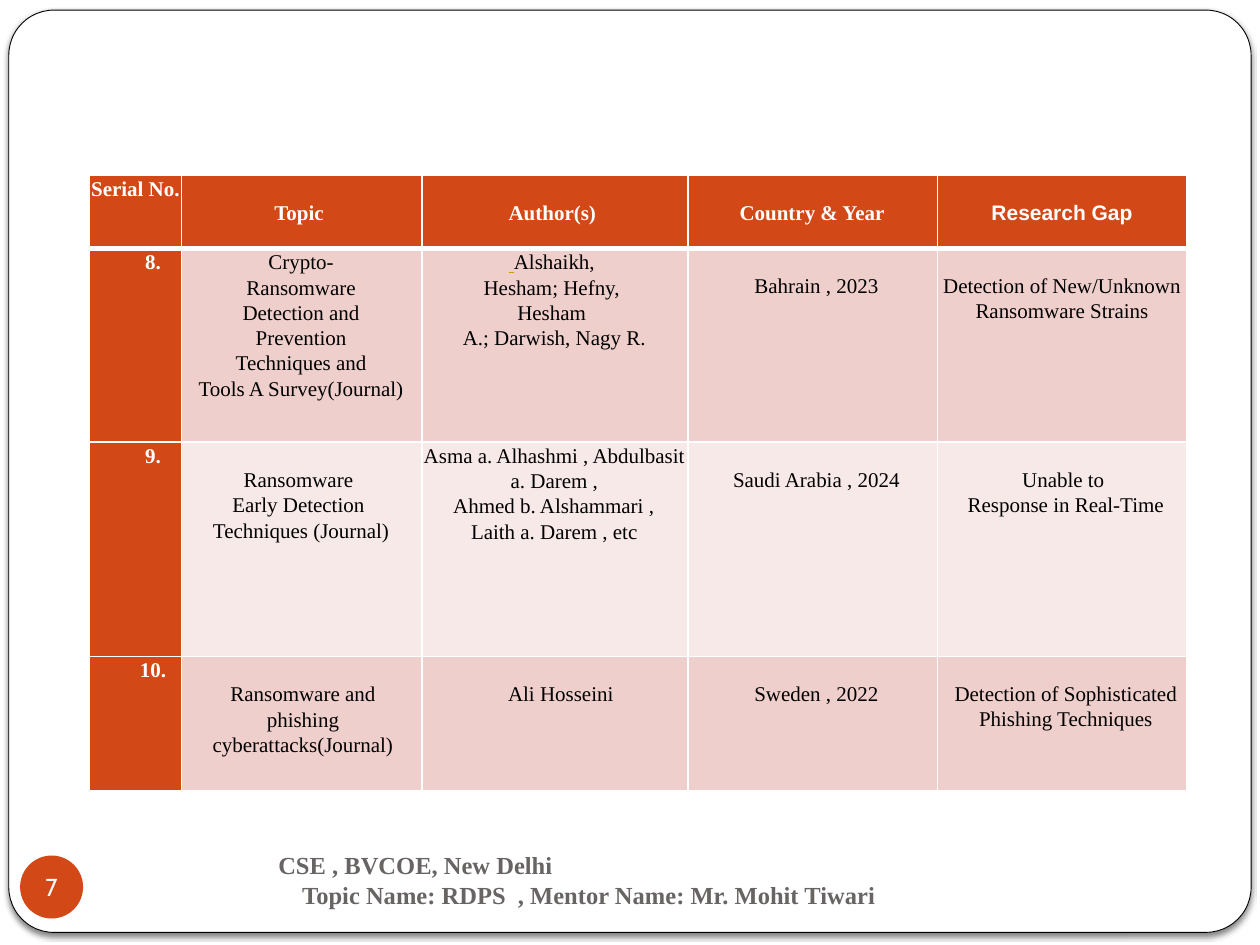
from lxml.etree import SubElement as Sub
from pptx import Presentation
from pptx.dml.color import RGBColor as Rgb
from pptx.enum.shapes import MSO_SHAPE as Shape
from pptx.enum.text import MSO_ANCHOR as Anchor, PP_ALIGN as Align
from pptx.oxml.ns import qn
from pptx.util import Inches, Pt

WHITE = Rgb(0xFF, 0xFF, 0xFF)
BLACK = Rgb(0x00, 0x00, 0x00)
RUST = Rgb(0xD3, 0x48, 0x17)
ROSE = Rgb(0xEF, 0xCF, 0xCC)
PALE = Rgb(0xF7, 0xE9, 0xE8)
GOLD = Rgb(0xCC, 0x99, 0x00)
GREY = Rgb(0x69, 0x64, 0x64)
SERIF = "Times New Roman"

COLS = [0.73, 1.91, 2.11, 1.98, 1.98]
ROWS = [0.58, 1.54, 1.7, 1.07]
CELLS = [
    ["Serial No. ", "Topic ", "Author(s) ", "Country & Year ", "Research Gap"],
    ["8. ",
     "Crypto-\nRansomware\nDetection and\nPrevention\nTechniques and\nTools A Survey(Journal)",
     "Alshaikh, \nHesham; Hefny, \nHesham \nA.; Darwish, Nagy R.",
     "Bahrain , 2023",
     "Detection of New/Unknown Ransomware Strains"],
    ["9. ",
     "Ransomware \nEarly Detection \nTechniques (Journal)",
     "Asma a. Alhashmi , Abdulbasit a. Darem ,\n Ahmed b. Alshammari , \nLaith a. Darem , etc",
     "Saudi Arabia , 2024",
     "Unable to \nResponse in Real-Time"],
    ["10. ",
     " Ransomware and \nphishing cyberattacks(Journal)",
     " Ali Hosseini",
     "Sweden , 2022",
     "Detection of Sophisticated Phishing Techniques"],
]
INDENTS = [
    [0.01, 0.01, 0.01, 0.04, 0.01],
    [0.33, 0, 0, 0.07, 0.01],
    [0.33, 0, 0, 0.07, 0.07],
    [0.33, 0.03, 0.07, 0.07, 0.07],
]
HIGH = {(1, 1), (1, 2), (2, 2)}
MARKED = (1, 2)


def write(frame, text, size=12, font=SERIF, color=BLACK, bold=False,
          align=Align.CENTER, indents=(0,), spacing=1.0, after=0, mark=None):
    """Fill a text frame, one paragraph a line, optionally led by an underlined space."""
    for i, line in enumerate(text.split("\n")):
        para = frame.add_paragraph() if i else frame.paragraphs[0]
        para.alignment = align
        para.line_spacing = spacing
        para.space_after = Pt(after)
        props = para._p.get_or_add_pPr()
        props.set("marL", str(Inches(indents[min(i, len(indents) - 1)])))
        props.set("indent", "0")
        parts = [(line, color, False)]
        if mark is not None and i == 0:
            parts.insert(0, (" ", mark, True))
        for words, tint, under in parts:
            run = para.add_run()
            run.text = words
            run.font.size = Pt(size)
            run.font.name = font
            run.font.bold = bold
            run.font.underline = under
            run.font.color.rgb = tint


def border(cell, head):
    """Draw white lines round a cell, with a thick one below the header."""
    props = cell._tc.get_or_add_tcPr()
    for side in "LRTB":
        thick = (head and side == "B") or (head is None and side == "T")
        line = Sub(props, qn("a:ln" + side), w=str(Pt(3 if thick else 1)))
        fill = Sub(line, qn("a:solidFill"))
        Sub(fill, qn("a:srgbClr"), val=str(WHITE))


def add_frame(slide, left, top, width, height):
    """Place the rounded page frame with its soft shadow."""
    box = slide.shapes.add_shape(Shape.ROUNDED_RECTANGLE, Inches(left), Inches(top),
                                 Inches(width), Inches(height))
    box.adjustments[0] = 0.049
    box.fill.solid()
    box.fill.fore_color.rgb = WHITE
    box.line.color.rgb = BLACK
    box.line.width = Pt(0.5)
    box.shadow.inherit = False
    effects = box._element.spPr.find(qn("a:effectLst"))
    shade = Sub(effects, qn("a:outerShdw"), blurRad=str(Pt(3)), dist=str(Pt(2)),
                dir="5400000", algn="tl", rotWithShape="0")
    tint = Sub(shade, qn("a:srgbClr"), val=str(BLACK))
    Sub(tint, qn("a:alpha"), val="50000")


def add_papers(slide, left, top, width, height):
    """Place the table of papers, scaled to its box."""
    table = slide.shapes.add_table(len(ROWS), len(COLS), Inches(left), Inches(top),
                                   Inches(width), Inches(height)).table
    table.horz_banding = False
    for col, size in zip(table.columns, COLS):
        col.width = Inches(size * width / sum(COLS))
    for row, size in zip(table.rows, ROWS):
        row.height = Inches(size * height / sum(ROWS))
    for r, texts in enumerate(CELLS):
        for c, text in enumerate(texts):
            cell = table.cell(r, c)
            gap = (r, c) == (0, 4)
            strong = r == 0 or c == 0
            raised = c == 0 or gap or (r, c) in HIGH
            cell.margin_left = cell.margin_bottom = 0
            cell.margin_right = Inches(0.01)
            cell.margin_top = Inches(0.01 if raised else 0.2)
            cell.vertical_anchor = Anchor.MIDDLE if gap else Anchor.TOP
            border(cell, None if r == 1 else r == 0)
            cell.fill.solid()
            cell.fill.fore_color.rgb = RUST if strong else (ROSE if r % 2 else PALE)
            write(cell.text_frame, text, font="Arial" if gap else SERIF,
                  color=WHITE if strong else BLACK, bold=strong,
                  indents=(INDENTS[r][c],), spacing=1.07, after=0.2,
                  mark=GOLD if (r, c) == MARKED else None)


def add_footer(slide, left, top, width, height):
    """Place the two footer lines, the second one indented further."""
    box = slide.shapes.add_textbox(Inches(left), Inches(top), Inches(width), Inches(height))
    box.text_frame.word_wrap = True
    write(box.text_frame,
          "CSE , BVCOE, New Delhi\nTopic Name: RDPS  , Mentor Name: Mr. Mohit Tiwari",
          size=14, color=GREY, bold=True, align=Align.LEFT, indents=(0.54, 0.73))


def add_badge(slide, left, top, width, height):
    """Place the round page number."""
    disc = slide.shapes.add_shape(Shape.OVAL, Inches(left), Inches(top),
                                  Inches(width), Inches(height))
    disc.shadow.inherit = False
    disc.fill.solid()
    disc.fill.fore_color.rgb = RUST
    disc.line.fill.background()
    frame = disc.text_frame
    frame.margin_left = frame.margin_right = frame.margin_top = frame.margin_bottom = 0
    frame.vertical_anchor = Anchor.MIDDLE
    write(frame, "7", size=14, font="Cabin", color=WHITE)


def main():
    """Build the slide and save it."""
    deck = Presentation()
    deck.slide_width, deck.slide_height = Inches(10), Inches(7.5)
    slide = deck.slides.add_slide(deck.slide_layouts[6])
    add_frame(slide, 0.07, 0.08, 9.86, 7.32)
    add_papers(slide, 0.71, 1.39, 8.71, 4.89)
    add_footer(slide, 1.57, 6.7, 6.19, 0.8)
    add_badge(slide, 0.16, 6.79, 0.5, 0.5)
    deck.save("out.pptx")


if __name__ == "__main__":
    main()
